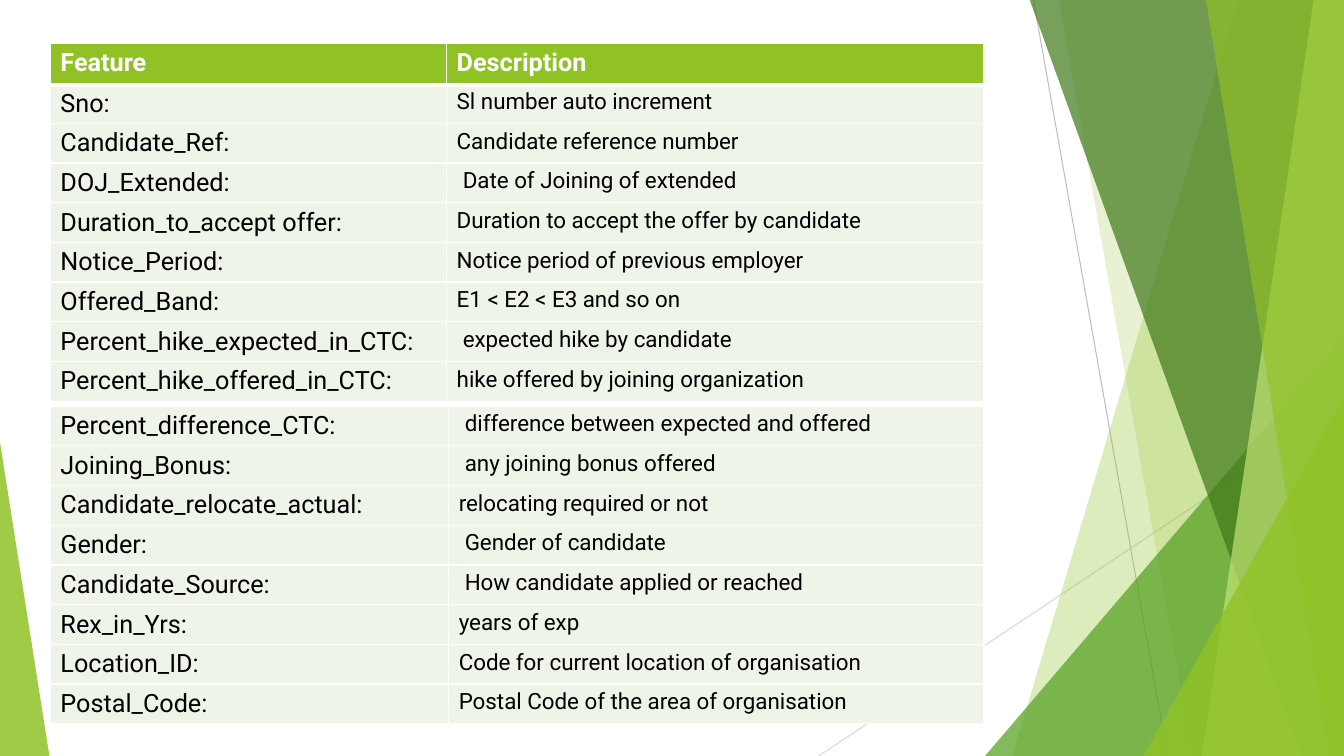
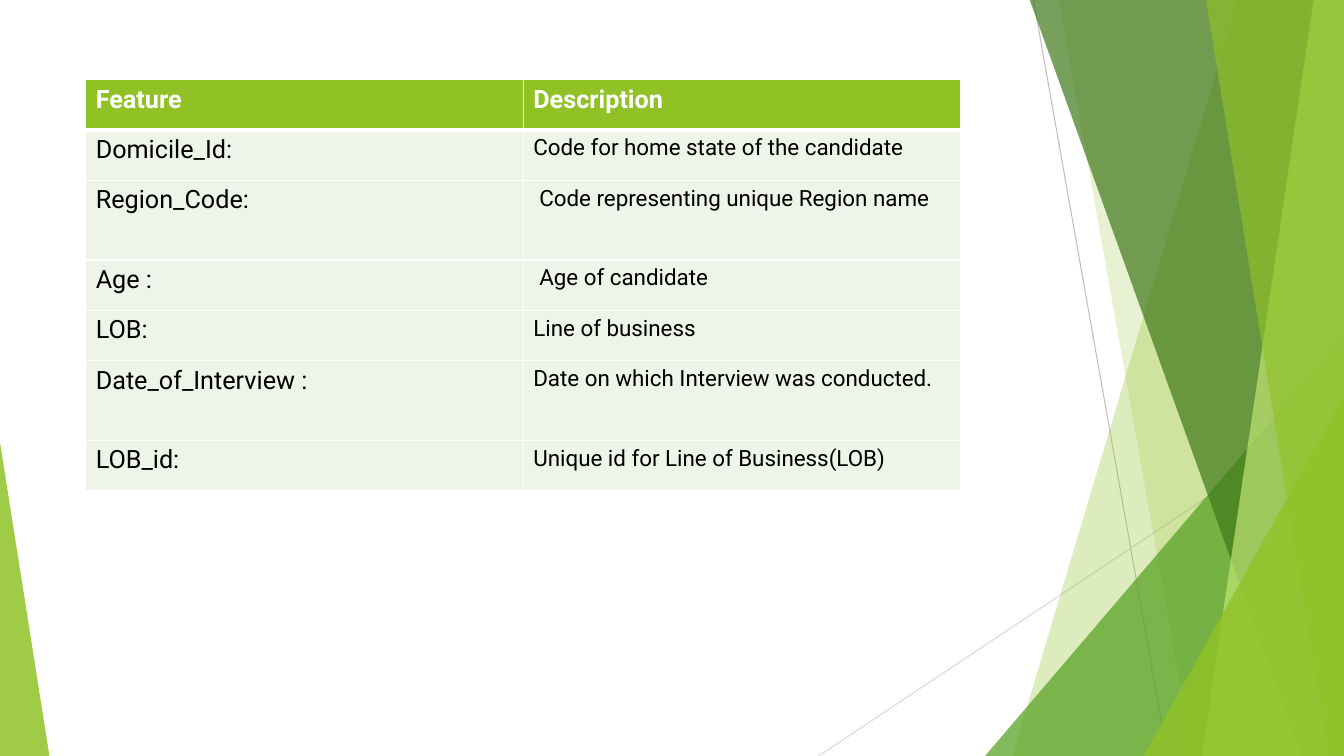
"""Build two slides that describe the features of a candidate data set."""
from lxml import etree
from pptx import Presentation
from pptx.dml.color import RGBColor
from pptx.enum import shapes
from pptx.oxml import ns
from pptx.util import Inches, Pt

GREEN = RGBColor(0x90, 0xC2, 0x26)
MID_GREEN = RGBColor(0x54, 0xA0, 0x21)
DARK_GREEN = RGBColor(0x3F, 0x78, 0x19)
LIGHT_GREEN = RGBColor(0xC0, 0xE4, 0x74)
PALE_GREEN = RGBColor(0xEE, 0xF4, 0xE8)
GREY = RGBColor(0xBF, 0xBF, 0xBF)
LIGHT_GREY = RGBColor(0xD9, 0xD9, 0xD9)
WHITE = RGBColor(0xFF, 0xFF, 0xFF)
BLACK = RGBColor(0x00, 0x00, 0x00)
FONT = "Roboto"
WIDTH, HEIGHT = 13.33, 7.5

HEADER = ("Feature", "Description")
FIRST_FEATURES = [
    ("Sno:", "Sl number auto increment"),
    ("Candidate_Ref:", "Candidate reference number"),
    ("DOJ_Extended:", "Date of Joining of extended"),
    ("Duration_to_accept offer:", "Duration to accept the offer by candidate"),
    ("Notice_Period:", "Notice period of previous employer"),
    ("Offered_Band:", "E1 < E2 < E3 and so on"),
    ("Percent_hike_expected_in_CTC:", "expected hike by candidate"),
    ("Percent_hike_offered_in_CTC:", "hike offered by joining organization"),
]
SECOND_FEATURES = [
    ("Percent_difference_CTC:", "difference between expected and offered"),
    ("Joining_Bonus:", "any joining bonus offered"),
    ("Candidate_relocate_actual:", "relocating required or not"),
    ("Gender:", "Gender of candidate"),
    ("Candidate_Source:", "How candidate applied or reached"),
    ("Rex_in_Yrs:", "years of exp"),
    ("Location_ID:", "Code for current location of organisation"),
    ("Postal_Code:", "Postal Code of the area of organisation"),
]
THIRD_FEATURES = [
    ("Domicile_Id:", "Code for home state of the candidate"),
    ("Region_Code:", "Code representing unique Region name"),
    ("Age :", "Age of candidate"),
    ("LOB:", "Line of business"),
    ("Date_of_Interview :", "Date on which Interview was conducted."),
    ("LOB_id:", "Unique id for Line of Business(LOB)"),
]
INDENTED = {
    "DOJ_Extended:", "Percent_hike_expected_in_CTC:", "Percent_difference_CTC:",
    "Joining_Bonus:", "Gender:", "Candidate_Source:", "Region_Code:", "Age :",
}


def paint(shape, color, opacity):
    """Give a shape a translucent fill without line or shadow."""
    shape.shadow.inherit = False
    shape.line.fill.background()
    shape.fill.solid()
    shape.fill.fore_color.rgb = color
    for color_element in shape.element.iter(ns.qn("a:srgbClr")):
        etree.SubElement(color_element, ns.qn("a:alpha"), val=str(opacity * 1000))


def add_feature_table(slide, left, top, columns, heights, rows):
    """Add a two-column table with white borders and a green header row."""
    frame = slide.shapes.add_table(
        len(rows), 2, Inches(left), Inches(top), Inches(sum(columns)), Inches(sum(heights)))
    table = frame.table
    table.first_row = rows[0] == HEADER
    table.horz_banding = False
    for column, width in zip(table.columns, columns):
        column.width = Inches(width)
    for row_index, (height, row) in enumerate(zip(heights, rows)):
        table.rows[row_index].height = Inches(height)
        is_header = row == HEADER
        below_header = row_index > 0 and rows[row_index - 1] == HEADER
        for column_index, words in enumerate(row):
            cell = table.cell(row_index, column_index)
            properties = cell._tc.get_or_add_tcPr()
            for side in ("lnL", "lnR", "lnT", "lnB"):
                thick = (side == "lnB" and is_header) or (side == "lnT" and below_header)
                border = etree.SubElement(
                    properties, ns.qn(f"a:{side}"), w=str(Pt(3 if thick else 1)))
                fill = etree.SubElement(border, ns.qn("a:solidFill"))
                etree.SubElement(fill, ns.qn("a:srgbClr"), val=str(WHITE))
            cell.fill.solid()
            cell.fill.fore_color.rgb = GREEN if is_header else PALE_GREEN
            if column_index == 1 and row[0] in INDENTED:
                cell.margin_left = Inches(0.16)
            cell.text_frame.text = words
            font = cell.text_frame.paragraphs[0].runs[0].font
            font.name = FONT
            font.size = Pt(18 if is_header or column_index == 0 else 16)
            font.bold = is_header
            font.color.rgb = WHITE if is_header else BLACK


presentation = Presentation()
presentation.slide_width = Inches(WIDTH)
presentation.slide_height = Inches(HEIGHT)
layout = presentation.slide_layouts[6]
for placeholder in list(layout.placeholders):
    layout.shapes.element.remove(placeholder.element)
first_slide = presentation.slides.add_slide(layout)
second_slide = presentation.slides.add_slide(layout)

backdrop = first_slide.shapes.add_group_shape()
for x1, y1, x2, y2, color in [
    (10.25, 0, 11.58, HEIGHT, GREY),
    (WIDTH, 4.03, 8.12, HEIGHT, LIGHT_GREY),
]:
    line = backdrop.shapes.add_connector(
        shapes.MSO_CONNECTOR.STRAIGHT, Inches(x1), Inches(y1), Inches(x2), Inches(y2))
    line.line.color.rgb = color
    line.line.width = Pt(0.75)
    etree.SubElement(line.element.spPr, ns.qn("a:effectLst"))

for kind, geometry, color, opacity in [
    ("band", (12.28, 10.04), GREEN, 30),
    ("band", (10.5, 11.83), GREEN, 20),
    ("triangle", (9.77, 3.33, 3.56, 1), MID_GREEN, 72),
    ("band", (10.21, 12.91), DARK_GREEN, 70),
    ("band", (13.03, 11.92), LIGHT_GREEN, 70),
    ("band", (11.96, 13.18), GREEN, 65),
    ("triangle", (11.34, 3.93, 1.99, 1), GREEN, 80),
    ("triangle", (0, 4.39, 0.49, 0), GREEN, 85),
]:
    if kind == "band":
        top_x, bottom_x = geometry
        builder = backdrop.shapes.build_freeform(Inches(top_x), Inches(-0.01))
        corners = [(WIDTH, -0.01), (WIDTH, HEIGHT), (bottom_x, HEIGHT)]
        builder.add_line_segments([(Inches(x), Inches(y)) for x, y in corners])
        shape = builder.convert_to_shape()
    else:
        left, top, width, apex = geometry
        shape = backdrop.shapes.add_shape(
            shapes.MSO_SHAPE.ISOSCELES_TRIANGLE,
            Inches(left), Inches(top), Inches(width), Inches(HEIGHT - top))
        shape.adjustments[0] = apex
    paint(shape, color, opacity)
layout.shapes.element.append(backdrop.element)

add_feature_table(first_slide, 0.5, 0.83, (3.93, 5.33), [0.39] * 8, FIRST_FEATURES)
add_feature_table(first_slide, 0.5, 4.03, (3.95, 5.31), [0.39] * 8, SECOND_FEATURES)
add_feature_table(first_slide, 0.5, 0.43, (3.93, 5.33), [0.41], [HEADER])
add_feature_table(
    second_slide, 0.85, 0.79, (4.34, 4.34),
    [0.5, 0.5, 0.79, 0.5, 0.5, 0.79, 0.5], [HEADER] + THIRD_FEATURES)

presentation.save("out.pptx")
